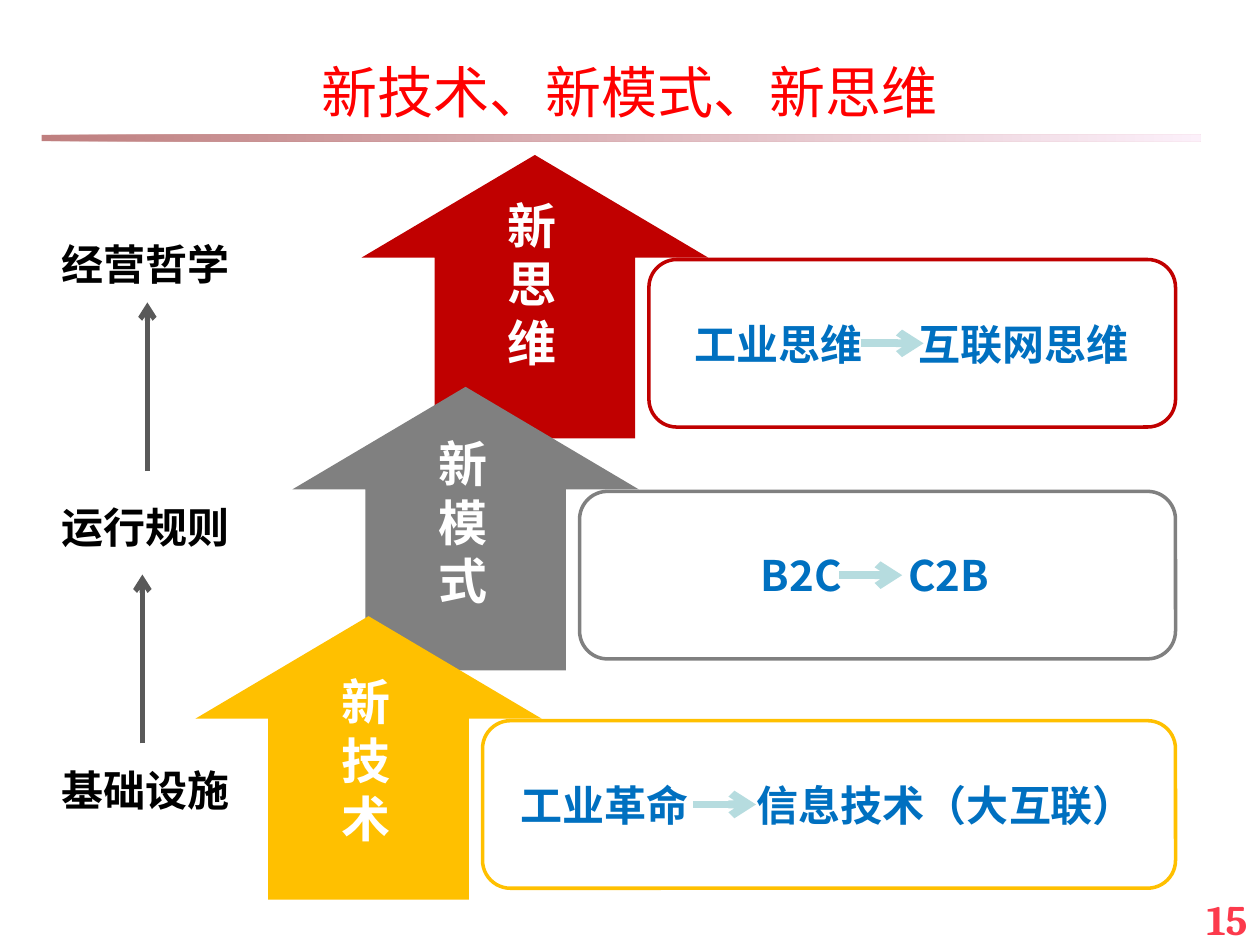
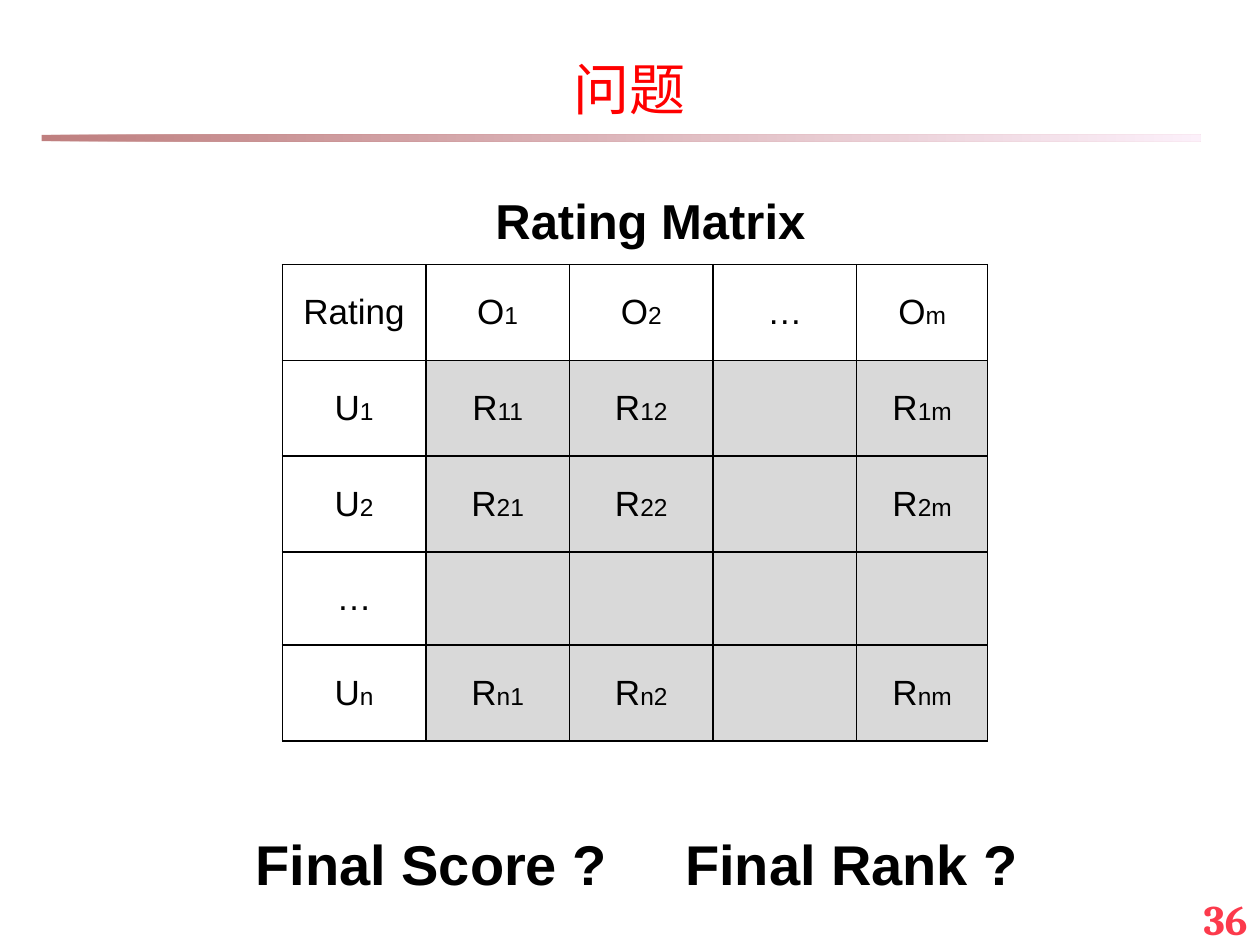
from lxml.etree import SubElement as sub
from pptx import Presentation
from pptx.dml.color import RGBColor
from pptx.enum.shapes import MSO_CONNECTOR as LINK, MSO_SHAPE as SHAPE
from pptx.enum.text import MSO_ANCHOR as ANCHOR, PP_ALIGN as ALIGN
from pptx.oxml.ns import qn
from pptx.util import Inches, Pt

WIDTH, HEIGHT = Inches(10), Inches(7.5)
COLUMNS, ROWS = 100, 75

HAN, LATIN, NUMBER = "Noto Sans CJK SC", "Arial", "Cambria"
RED, BLACK, WHITE, BLUE = "FF0000", "000000", "FFFFFF", "0070C0"
PAGE_RED, TEAL, SLATE, SHADE = "FC3A4C", "B6DCDF", "595959", "D9D9D9"
BAND_COLOURS = ("800000", "FAE2F6")


def colour(code):
    return RGBColor.from_string(code)


def across(columns):
    return round(WIDTH * columns / COLUMNS)


def down(rows):
    return round(HEIGHT * rows / ROWS)


def area(left, top, width, height):
    return across(left), down(top), across(width), down(height)


class Painter:
    """Holds the deck, its style and the slide being drawn."""

    def __init__(self):
        self.deck = Presentation()
        self.deck.slide_width, self.deck.slide_height = WIDTH, HEIGHT
        self.page = None

    def new_page(self, title, number, title_top):
        self.page = self.deck.slides.add_slide(self.deck.slide_layouts[6])
        self.band()
        self.text(title, (0, title_top, 100, 10.2), 32, HAN, RED, bold=False,
                  spacing=Pt(32 * 1.7), anchor=ANCHOR.MIDDLE)
        self.text(str(number), (76.7, 70.4, 23.3, 4.4), 24, NUMBER, PAGE_RED,
                  align=ALIGN.RIGHT)

    def span(self, para, words, size, font, code, bold=True):
        span = para.add_run()
        span.text = words
        span.font.size, span.font.bold, span.font.name = Pt(size), bold, font
        span.font.color.rgb = colour(code)
        if font == HAN:
            sub(span.font._element, qn("a:ea"), typeface=font)

    def tab_stop(self, para, columns):
        stops = sub(para._p.get_or_add_pPr(), qn("a:tabLst"))
        sub(stops, qn("a:tab"), pos=str(across(columns)), algn="l")

    def text(self, words, place, size, font, code, bold=True, align=ALIGN.CENTER,
             spacing=None, anchor=ANCHOR.TOP, wrap=True, tab=None):
        frame = self.page.shapes.add_textbox(*area(*place)).text_frame
        frame.word_wrap, frame.vertical_anchor = wrap, anchor
        para = frame.paragraphs[0]
        if tab:
            self.tab_stop(para, tab)
        para.alignment = align
        if spacing:
            para.line_spacing = spacing
        self.span(para, words, size, font, code, bold)

    def shape(self, kind, place, fill=None, line=None):
        shape = self.page.shapes.add_shape(kind, *area(*place))
        shape.shadow.inherit = False
        if fill:
            shape.fill.solid()
            shape.fill.fore_color.rgb = colour(fill)
        else:
            shape.fill.background()
        if line:
            shape.line.color.rgb, shape.line.width = colour(line), Pt(2)
        else:
            shape.line.fill.background()
        return shape

    def band(self):
        band = self.shape(SHAPE.RECTANGLE, (3.3, 10.7, 92, 0.5))
        band.fill.gradient()
        band.fill.gradient_angle = 0
        for stop, code in zip(band.fill.gradient_stops, BAND_COLOURS):
            stop.color.rgb = colour(code)
        for tint in band._element.spPr.iter(qn("a:srgbClr")):
            sub(tint, qn("a:alpha"), val="50000")

    def up_arrow(self, place, fill):
        arrow = self.shape(SHAPE.UP_ARROW, place, fill)
        arrow.adjustments[0], arrow.adjustments[1] = 0.579, 0.362

    def change_box(self, place, line, before, after, before_at, after_at):
        """Outlined box with two terms starting at the given columns."""
        box = self.shape(SHAPE.ROUNDED_RECTANGLE, place, line=line)
        frame = box.text_frame
        frame.word_wrap, frame.vertical_anchor = True, ANCHOR.MIDDLE
        corner = 0.05 * place[3]  # text inset made by the rounded corner
        frame.margin_left = across(before_at - place[0] - corner)
        frame.margin_right = 0
        para = frame.paragraphs[0]
        self.tab_stop(para, after_at - before_at)
        para.alignment = ALIGN.LEFT
        self.span(para, f"{before}\t{after}", 24, HAN, BLUE)

    def arrow_line(self, start, end, code, width):
        line = self.page.shapes.add_connector(
            LINK.STRAIGHT, across(start[0]), down(start[1]),
            across(end[0]), down(end[1]))
        line.line.color.rgb, line.line.width = colour(code), Pt(width)
        sub(line.line._get_or_add_ln(), qn("a:tailEnd"), type="arrow")
        sub(line._element.spPr, qn("a:effectLst"))

    def borders(self, cell):
        props = cell._tc.get_or_add_tcPr()
        for index, side in enumerate(("lnL", "lnR", "lnT", "lnB")):
            line = props.makeelement(qn(f"a:{side}"), {"w": str(Pt(1))})
            props.insert(index, line)
            sub(sub(line, qn("a:solidFill")), qn("a:srgbClr"), val=BLACK)

    def matrix(self, left, top, widths, heights, rows):
        place = area(left, top, sum(widths), sum(heights))
        table = self.page.shapes.add_table(len(rows), len(widths), *place).table
        table.first_row = table.horz_banding = False
        for column, width in zip(table.columns, widths):
            column.width = across(width)
        for row, height in zip(table.rows, heights):
            row.height = down(height)
        for r, row in enumerate(rows):
            for c, (symbol, index) in enumerate(row):
                cell = table.cell(r, c)
                cell.fill.solid()
                cell.fill.fore_color.rgb = colour(SHADE if r and c else WHITE)
                self.borders(cell)
                cell.vertical_anchor = ANCHOR.MIDDLE
                cell.margin_left = cell.margin_right = across(0.8)
                cell.margin_top = cell.margin_bottom = 0
                para = cell.text_frame.paragraphs[0]
                para.alignment = ALIGN.CENTER
                for words, size in ((symbol, 20), (index, 14)):
                    if words:
                        self.span(para, words, size, LATIN, BLACK, bold=False)


def draw_tiers(painter):
    painter.new_page("新技术、新模式、新思维", 15, 1)

    # Tiers: name, colour, arrow left and top, name offset,
    # terms with their columns, start of the small arrow
    tiers = [
        ("新思维", "C00000", 28.7, 12.3, 2.7, "工业思维", "互联网思维", 55.15, 72.95, 68.3),
        ("新模式", "808080", 23.2, 30.7, 3.2, "B2C", "C2B", 60.4, 72.1, 66.6),
        ("新技术", "FFC000", 15.5, 48.9, 3.9, "工业革命", "信息技术（大互联）",
         41.35, 60.1, 55),
    ]
    box_right, box_height = 93.3, 13.3
    for name, code, left, top, drop, before, after, first, second, start in tiers:
        painter.up_arrow((left, top, 27.5, 22.5), code)
        box_left, box_top = left + 22.8, top + 8.3
        painter.change_box((box_left, box_top, box_right - box_left, box_height),
                           code, before, after, first, second)
        middle = box_top + box_height / 2
        painter.arrow_line((start, middle), (start + 5, middle), TEAL, 4.5)
        painter.text(name, (left + 9.8, top + drop, 7.5, 15.1), 28, HAN, WHITE,
                     spacing=Pt(28 * 1.2))

    # Layers on the left, joined by rising arrows
    for step, layer in enumerate(("经营哲学", "运行规则", "基础设施")):
        painter.text(layer, (2.8, 18.4 + 20.9 * step, 17.5, 5), 24, HAN, BLACK,
                     spacing=Pt(24 * 1.2))
    for x, bottom in ((11.3, 59), (11.7, 37.4)):
        painter.arrow_line((x, bottom), (x, bottom - 13.4), SLATE, 3)


def draw_matrix(painter):
    painter.new_page("问题", 36, 0.8)

    # Rating matrix: users down, objects across
    objects, users = ("1", "2", "", "m"), ("1", "2", "", "n")
    rows = [[("Rating", "")] + [("O", o) if o else ("…", "") for o in objects]]
    for user in users:
        head = ("U", user) if user else ("…", "")
        rows.append([head] + [("R", user + o) if user and o else ("", "")
                              for o in objects])
    painter.matrix(22.4, 21, [11.4] * 4 + [10.4], [7.6, 7.6, 7.6, 7.4, 7.6], rows)

    # Heading and closing questions
    painter.text("Rating Matrix", (38, 12.3, 26.9, 7.2), 28, LATIN, BLACK,
                 align=ALIGN.RIGHT, spacing=1.5, wrap=False)
    painter.text("Final Score ?\tFinal Rank ?", (19.3, 62.7, 64.3, 8.1), 32, LATIN,
                 BLACK, align=ALIGN.LEFT, spacing=1.5, tab=34.1)


def main():
    painter = Painter()
    draw_tiers(painter)
    draw_matrix(painter)
    painter.deck.save("out.pptx")


if __name__ == "__main__":
    main()
